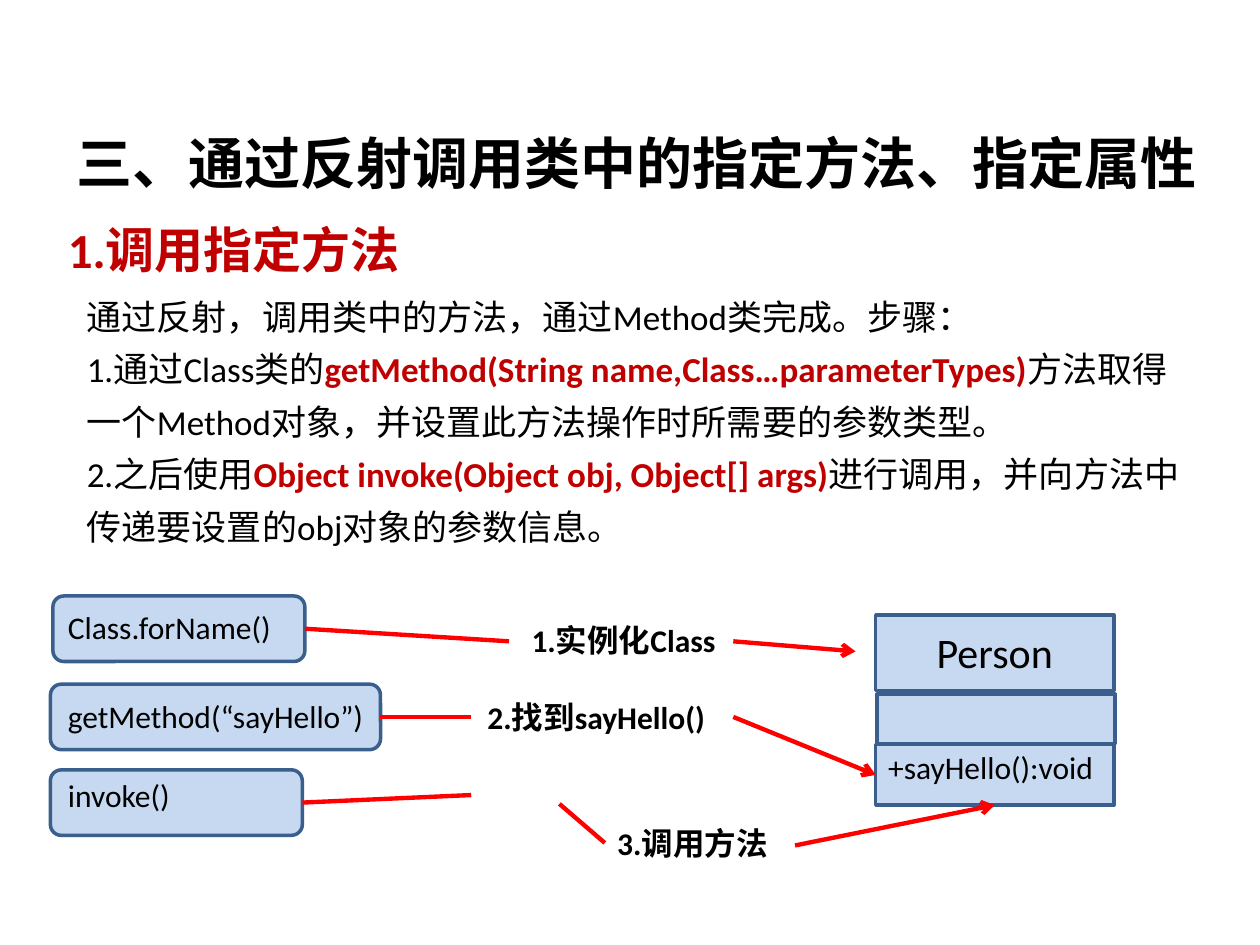
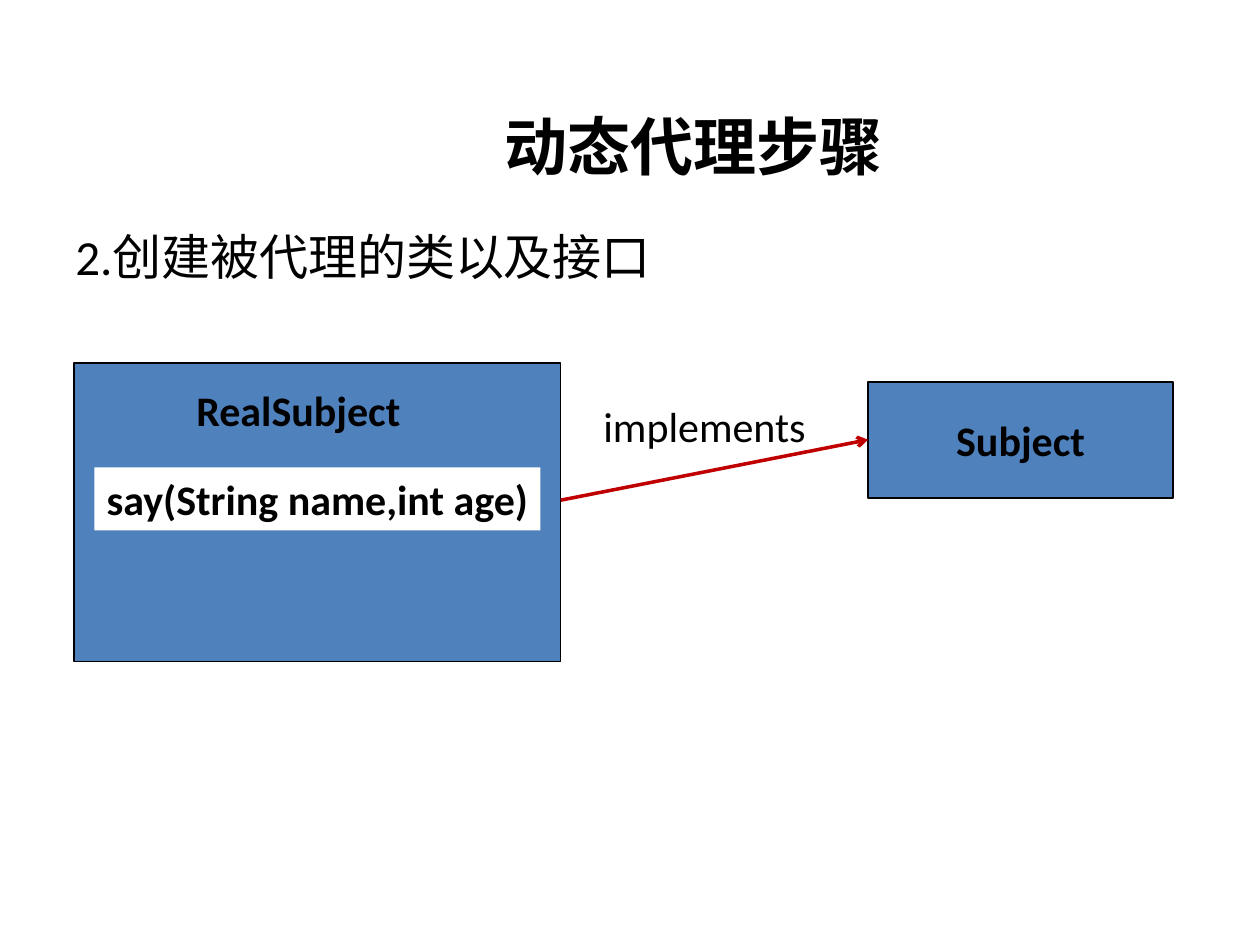
import pptx
import pptx.util
import pptx.dml.color
import pptx.enum.shapes
import pptx.enum.text
import pptx.oxml
import pptx.oxml.ns

Inches, Pt = pptx.util.Inches, pptx.util.Pt
SHAPE = pptx.enum.shapes.MSO_SHAPE
ALIGN = pptx.enum.text.PP_ALIGN
ANCHOR = pptx.enum.text.MSO_ANCHOR

COLORS = {
    "background": "FFFFFF",
    "text": "000000",
    "accent": "C00000",
    "flow": "FF0000",
    "card": "C6D9F1",
    "card_line": "3A5F8C",
    "block": "4F81BD",
}
LEFT, BOTTOM, RIGHT = 1, 2, 3  # connection sites


class Painter:
    """Holds the shared style and the current page."""

    font = "Calibri"

    def __init__(self, deck):
        self.deck = deck
        self.page = None

    def color(self, name):
        return pptx.dml.color.RGBColor.from_string(COLORS[name])

    def new_page(self):
        self.page = self.deck.slides.add_slide(self.deck.slide_layouts[6])
        fill = self.page.background.fill
        fill.solid()
        fill.fore_color.rgb = self.color("background")

    def style(self, span, size, color="text", bold=False):
        span.font.name = self.font
        span.font.size = Pt(size)
        span.font.bold = bold
        span.font.color.rgb = self.color(color)

    def label(self, shape, content, size, color="text", bold=False,
              align=ALIGN.LEFT, anchor=ANCHOR.TOP, wrap=True):
        frame = shape.text_frame
        frame.word_wrap = wrap
        frame.vertical_anchor = anchor
        frame.text = content
        para = frame.paragraphs[0]
        para.alignment = align
        self.style(para.runs[0], size, color, bold)

    def text(self, left, top, width, height, content, size, **options):
        box = self.page.shapes.add_textbox(
            Inches(left), Inches(top), Inches(width), Inches(height))
        self.label(box, content, size, **options)

    def steps(self, left, top, width, height, paragraphs, size, spacing):
        """Each paragraph is a list of parts; every second part is emphasised."""
        box = self.page.shapes.add_textbox(
            Inches(left), Inches(top), Inches(width), Inches(height))
        frame = box.text_frame
        frame.word_wrap = True
        for index, parts in enumerate(paragraphs):
            para = frame.add_paragraph() if index else frame.paragraphs[0]
            para.line_spacing = Pt(spacing)
            for number, part in enumerate(parts):
                span = para.add_run()
                span.text = part
                strong = number % 2 == 1
                self.style(span, size, "accent" if strong else "text", strong)

    def box(self, left, top, width, height, fill="card", line="card_line",
            weight=2, kind=SHAPE.RECTANGLE):
        shape = self.page.shapes.add_shape(
            kind, Inches(left), Inches(top), Inches(width), Inches(height))
        shape.shadow.inherit = False
        shape.fill.solid()
        shape.fill.fore_color.rgb = self.color(fill)
        if line:
            shape.line.color.rgb = self.color(line)
            shape.line.width = Pt(weight)
        else:
            shape.line.fill.background()
        return shape

    def connect(self, start, end, color="flow", weight=2.5, arrow=False,
                begin=None, finish=None):
        """begin and finish are (shape, site) pairs to join."""
        line = self.page.shapes.add_connector(
            pptx.enum.shapes.MSO_CONNECTOR.STRAIGHT,
            *(Inches(value) for value in (*start, *end)))
        line.line.color.rgb = self.color(color)
        line.line.width = Pt(weight)
        if begin:
            line.begin_connect(*begin)
        if finish:
            line.end_connect(*finish)
        properties = line.element.spPr
        if arrow:
            head = pptx.oxml.parse_xml(
                f'<a:tailEnd {pptx.oxml.ns.nsdecls("a")} type="arrow"/>')
            properties.find(pptx.oxml.ns.qn("a:ln")).append(head)
        properties.append(pptx.oxml.parse_xml(
            f'<a:effectLst {pptx.oxml.ns.nsdecls("a")}/>'))


def method_page(painter):
    painter.new_page()

    # Headings and explanation
    painter.text(0.51, 0.97, 9.13, 0.64,
                 "三、通过反射调用类中的指定方法、指定属性", 32, bold=True)
    painter.text(0.44, 1.69, 7.46, 0.57, "1.调用指定方法", 28,
                 color="accent", bold=True)
    painter.steps(0.59, 2.21, 8.98, 2.2, [
        ["通过反射，调用类中的方法，通过Method类完成。步骤："],
        ["1.通过Class类的",
         "getMethod(String name,Class…parameterTypes)",
         "方法取得一个Method对象，并设置此方法操作时所需要的参数类型。"],
        ["2.之后使用",
         "Object invoke(Object obj, Object[] args)",
         "进行调用，并向方法中传递要设置的obj对象的参数信息。"],
    ], size=20, spacing=30)

    # Calls on the left, each with the line leaving it
    calls = [
        (0.42, 4.73, 2, "Class.forName()", 4.78, (4.04, 5.09)),
        (0.4, 5.43, 2.62, "getMethod(“sayHello”)", 5.48, (3.74, 5.69)),
        (0.4, 6.11, 2, "invoke()", 6.11, (3.74, 6.31)),
    ]
    for left, top, width, name, text_top, target in calls:
        card = painter.box(left, top, width, 0.52, kind=SHAPE.ROUNDED_RECTANGLE)
        painter.text(0.44, text_top, 2.58, 0.4, name, 18)
        painter.connect((left + width, top + 0.26), target, begin=(card, RIGHT))
    painter.connect((4.44, 6.38), (4.8, 6.69))

    # Step labels
    for left, top, label in [(4.12, 4.88, "1.实例化Class"),
                             (3.77, 5.49, "2.找到sayHello()"),
                             (4.8, 6.49, "3.调用方法")]:
        painter.text(left, top, 2.05, 0.4, label, 18, bold=True)

    # Class diagram
    painter.box(6.95, 4.88, 1.89, 0.6)
    painter.box(6.96, 5.51, 1.89, 0.39)
    operation = painter.box(6.95, 5.91, 1.89, 0.48)
    painter.text(7.19, 4.92, 1.41, 0.5, "Person", 24, align=ALIGN.CENTER)
    painter.text(6.95, 5.89, 2.05, 0.4, "+sayHello():void", 18)

    # Arrows into the class
    painter.connect((5.82, 5.09), (6.79, 5.17), arrow=True)
    painter.connect((5.82, 5.69), (6.95, 6.15), arrow=True,
                    finish=(operation, LEFT))
    painter.connect((6.31, 6.71), (7.9, 6.39), arrow=True,
                    finish=(operation, BOTTOM))


def proxy_page(painter):
    painter.new_page()

    # Headings
    painter.text(3.19, 0.76, 4.62, 0.79, "动态代理步骤", 36, bold=True,
                 align=ALIGN.CENTER, anchor=ANCHOR.MIDDLE)
    painter.text(0.5, 1.75, 9.22, 0.6, "2.创建被代理的类以及接口", 28)

    # Class and interface
    painter.box(0.59, 2.88, 3.86, 2.37, "block", "text", 1)
    subject = painter.box(6.89, 3.03, 2.42, 0.92, "block", "text", 1)
    painter.label(subject, "Subject", 24, bold=True, align=ALIGN.CENTER,
                  anchor=ANCHOR.MIDDLE, wrap=False)
    painter.text(1.46, 3, 2.15, 0.5, "RealSubject", 24, bold=True)
    method = painter.box(0.75, 3.71, 3.54, 0.5, "background", None)
    painter.label(method, "say(String name,int age)", 24, bold=True,
                  align=ALIGN.CENTER, wrap=False)

    # Relation
    painter.text(4.69, 3.13, 1.92, 0.5, "implements", 24)
    painter.connect((4.45, 3.97), (6.89, 3.49), "accent", 2, arrow=True,
                    finish=(subject, LEFT))


def main():
    deck = pptx.Presentation()
    deck.slide_width, deck.slide_height = Inches(10), Inches(7.5)
    painter = Painter(deck)
    method_page(painter)
    proxy_page(painter)
    deck.save("out.pptx")


if __name__ == "__main__":
    main()
